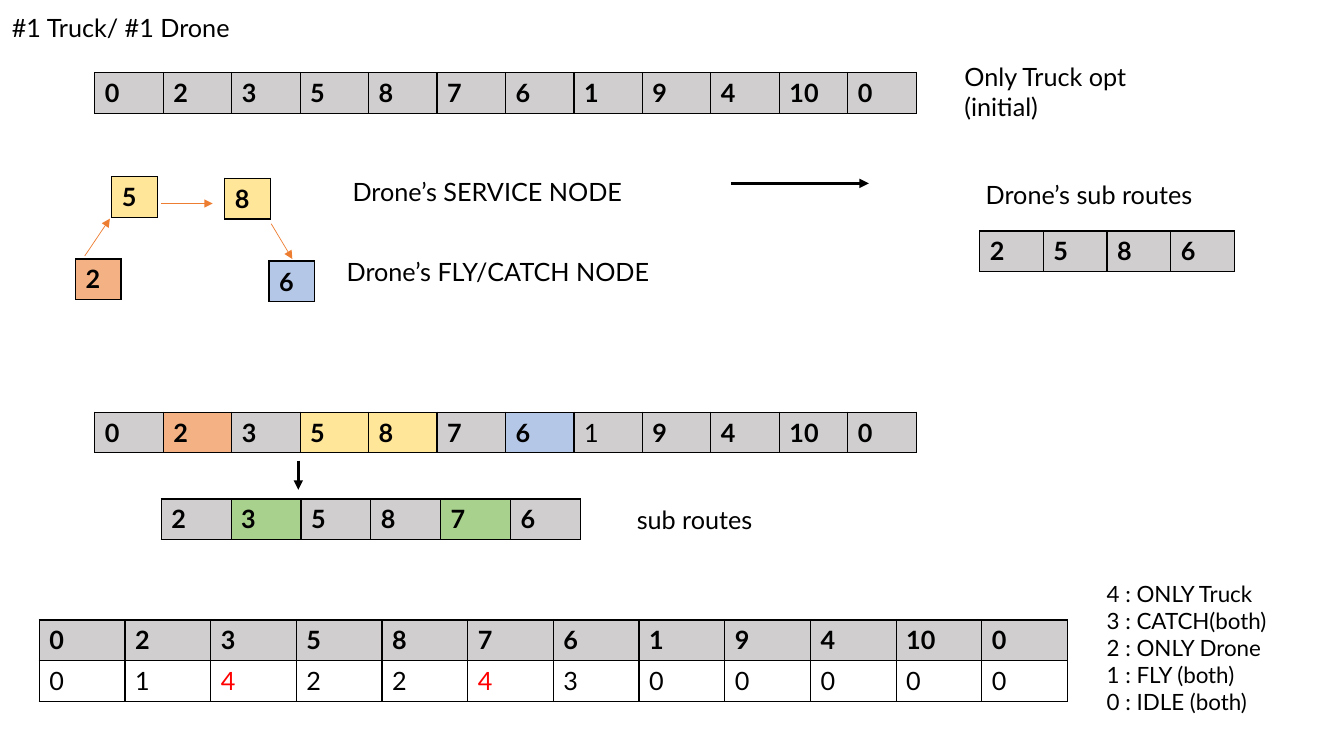
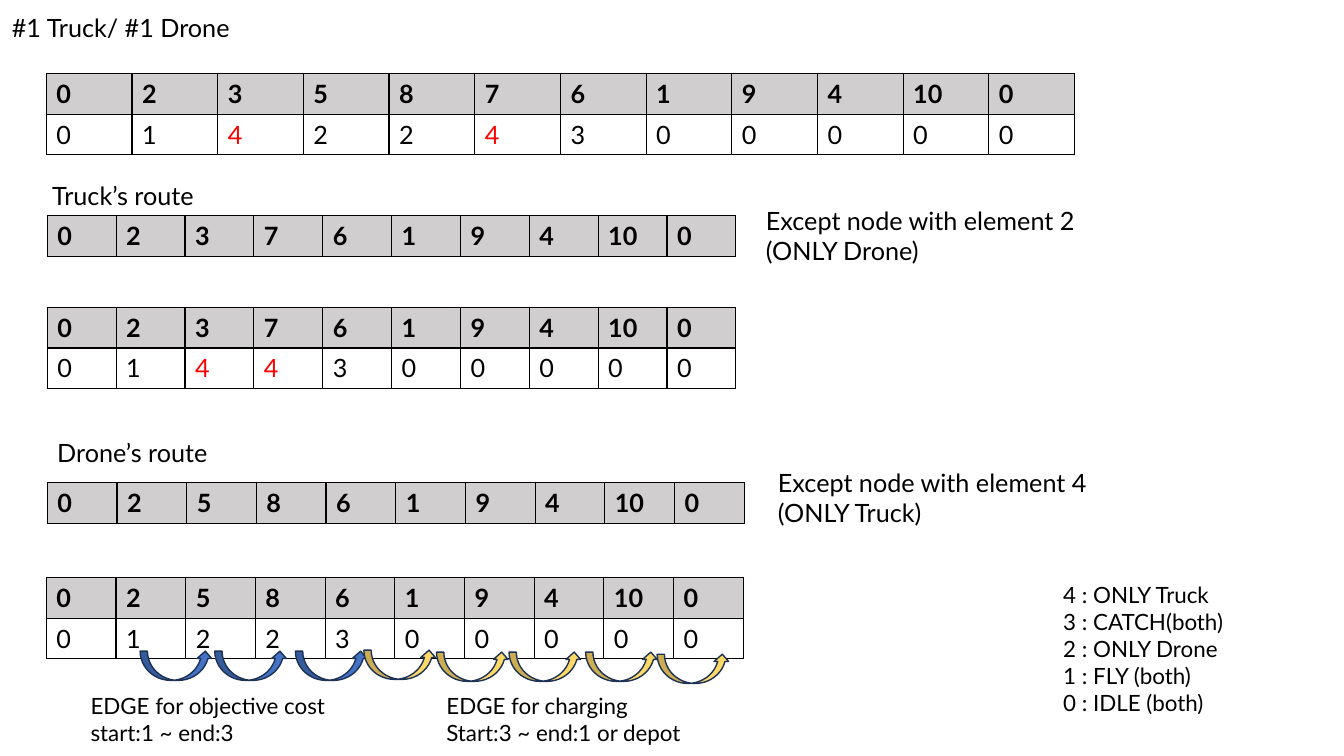
from lxml import etree
from pptx import Presentation
from pptx import util as u
from pptx.dml.color import RGBColor
from pptx.enum import shapes
from pptx.oxml.ns import qn

Pt = u.Pt
COLORS = {
    "ink": "000000", "alert": "FF0000", "node": "D0CECE",
    "service": "FFE699", "fly": "F4B183", "catch": "B4C7E7",
    "truck_only": "A9D18E", "hop": "ED7D31",
    "cost": "4472C4", "charging": "FFD966", "edge_line": "1E3256",
}
COLORS = {role: RGBColor.from_string(value) for role, value in COLORS.items()}
ROW_HEIGHT = 29
LEGEND = "4 : ONLY Truck\n3 : CATCH(both)\n2 : ONLY Drone\n1 : FLY (both)\n0 : IDLE (both)"


def write(frame, content, size=18, bold=False, color="ink"):
    frame.word_wrap = True
    frame.text = content
    for paragraph in frame.paragraphs:
        font = paragraph.runs[0].font
        font.name, font.size, font.bold = "Lato", Pt(size), bold
        font.color.rgb = COLORS[color]


def add_route(slide, left, top, column, nodes, codes="", tints=None, plain=()):
    """Draw a row of nodes, with a row of state codes below it if given.

    tints maps column numbers to fills; plain lists the columns not in bold.
    """
    rows = [row.split() for row in (nodes, codes) if row]
    count = len(rows[0])
    table = slide.shapes.add_table(len(rows), count, Pt(left), Pt(top),
                                   Pt(column * count), Pt(ROW_HEIGHT * len(rows))).table
    table.first_row = table.horz_banding = False
    for table_column in table.columns:
        table_column.width = Pt(column)
    for r, row in enumerate(rows):
        for c, value in enumerate(row):
            cell = table.cell(r, c)
            is_node = r == 0
            write(cell.text_frame, value, bold=is_node and c not in plain,
                  color="alert" if not is_node and value == "4" else "ink")
            properties = cell._tc.get_or_add_tcPr()
            for side in ("a:lnL", "a:lnR", "a:lnT", "a:lnB"):
                border = etree.SubElement(properties, qn(side), w=str(Pt(1)))
                fill = etree.SubElement(border, qn("a:solidFill"))
                etree.SubElement(fill, qn("a:srgbClr"), val=str(COLORS["ink"]))
            if is_node:
                cell.fill.solid()
                cell.fill.fore_color.rgb = COLORS[(tints or {}).get(c, "node")]
            else:
                cell.fill.background()


deck = Presentation()
deck.slide_width, deck.slide_height = Pt(960), Pt(540)
encoding, routes = [deck.slides.add_slide(deck.slide_layouts[6]) for _ in range(2)]

# Routes on the first slide
truck_nodes = "0 2 3 5 8 7 6 1 9 4 10 0"
truck_codes = "0 1 4 2 2 4 3 0 0 0 0 0"
add_route(encoding, 67.7, 51.8, 48.9, truck_nodes)
add_route(encoding, 699.8, 165, 45.5, "2 5 8 6")
for left, top, node, role in [(79.9, 126.2, "5", "service"), (160.6, 127.4, "8", "service"),
                              (54, 185, "2", "fly"), (192.2, 186.5, "6", "catch")]:
    add_route(encoding, left, top, 32.4, node, tints={0: role})
add_route(encoding, 67.7, 294.5, 48.9, truck_nodes, plain=[7],
          tints={1: "fly", 3: "service", 4: "service", 6: "catch"})
add_route(encoding, 115.2, 356.4, 49.9, "2 3 5 8 7 6",
          tints={1: "truck_only", 4: "truck_only"})
add_route(encoding, 28.1, 442.8, 61.2, truck_nodes, truck_codes)

# Routes on the second slide
truck_route = "0 2 3 7 6 1 9 4 10 0"
drone_route = "0 2 5 8 6 1 9 4 10 0"
add_route(routes, 33.1, 52.6, 61.2, truck_nodes, truck_codes)
add_route(routes, 33.8, 154.1, 49.2, truck_route)
add_route(routes, 33.8, 219.6, 49.2, truck_route, "0 1 4 4 3 0 0 0 0 0")
add_route(routes, 33.8, 344.9, 49.8, drone_route)
add_route(routes, 33.1, 412.6, 49.8, drone_route, "0 1 2 2 3 0 0 0 0 0")

# Labels
for slide, left, top, width, size, content in [
    (encoding, 697, 124.6, 186, 18, "Drone’s sub routes"),
    (encoding, 681.8, 40.3, 156, 18, "Only Truck opt\n(initial)"),
    (encoding, 244.8, 122.4, 230, 18, "Drone’s SERVICE NODE"),
    (encoding, 240.5, 179.3, 262, 18, "Drone’s FLY/CATCH NODE"),
    (encoding, 447.8, 356.4, 111, 18, "sub routes"),
    (encoding, 783.4, 411.1, 222, 16, LEGEND),
    (routes, 30.2, 125.3, 140, 18, "Truck’s route"),
    (routes, 33.8, 308.9, 140, 18, "Drone’s route"),
    (routes, 540, 143.3, 276, 18, "Except node with element 2\n(ONLY Drone)"),
    (routes, 548.6, 330.2, 276, 18, "Except node with element 4\n(ONLY Truck)"),
    (routes, 752.4, 411.8, 222, 16, LEGEND),
    (routes, 57.6, 491, 222, 16, "EDGE for objective cost\nstart:1 ~ end:3"),
    (routes, 311.8, 491, 222, 16, "EDGE for charging\nStart:3 ~ end:1 or depot"),
    *[(slide, 1.4, 5, 200, 18, "#1 Truck/ #1 Drone") for slide in (encoding, routes)],
]:
    height = 7.2 + 1.2 * size * len(content.split("\n"))
    label = slide.shapes.add_textbox(Pt(left), Pt(top), Pt(width), Pt(height))
    write(label.text_frame, content, size=size)

# Straight arrows: drone hops and steps of the method
for start_x, start_y, end_x, end_y, role, weight in [
    (60.5, 182.9, 78.5, 156.2, "hop", 0.5),
    (115.2, 145.4, 151.9, 145.4, "hop", 0.5),
    (193.7, 159.8, 208.8, 185, "hop", 0.5),
    (522, 131, 620.6, 131, "ink", 2.25),
    (213.1, 329, 213.1, 349.9, "ink", 2.25),
]:
    arrow = encoding.shapes.add_connector(shapes.MSO_CONNECTOR.STRAIGHT, Pt(start_x),
                                          Pt(start_y), Pt(end_x), Pt(end_y))
    arrow.line.color.rgb = COLORS[role]
    arrow.line.width = Pt(weight)
    etree.SubElement(arrow.line._get_or_add_ln(), qn("a:tailEnd"), type="triangle")
    etree.SubElement(arrow._element.spPr, qn("a:effectLst"))

# Curved arrows: edges of the drone's route
for left, top, role in [
    (100.1, 465.1, "cost"), (153.4, 465.1, "cost"), (211, 465.1, "cost"),
    (259.9, 464.4, "charging"), (311.8, 465.8, "charging"), (363.6, 465.8, "charging"),
    (418.3, 465.8, "charging"), (469.4, 467.3, "charging"),
]:
    edge = routes.shapes.add_shape(shapes.MSO_SHAPE.CURVED_UP_ARROW,
                                   Pt(left), Pt(top), Pt(51.8), Pt(20.9))
    edge.shadow.inherit = False
    edge.fill.solid()
    edge.fill.fore_color.rgb = COLORS[role]
    edge.line.color.rgb = COLORS["edge_line"]
    edge.line.width = Pt(1)

deck.save("out.pptx")
